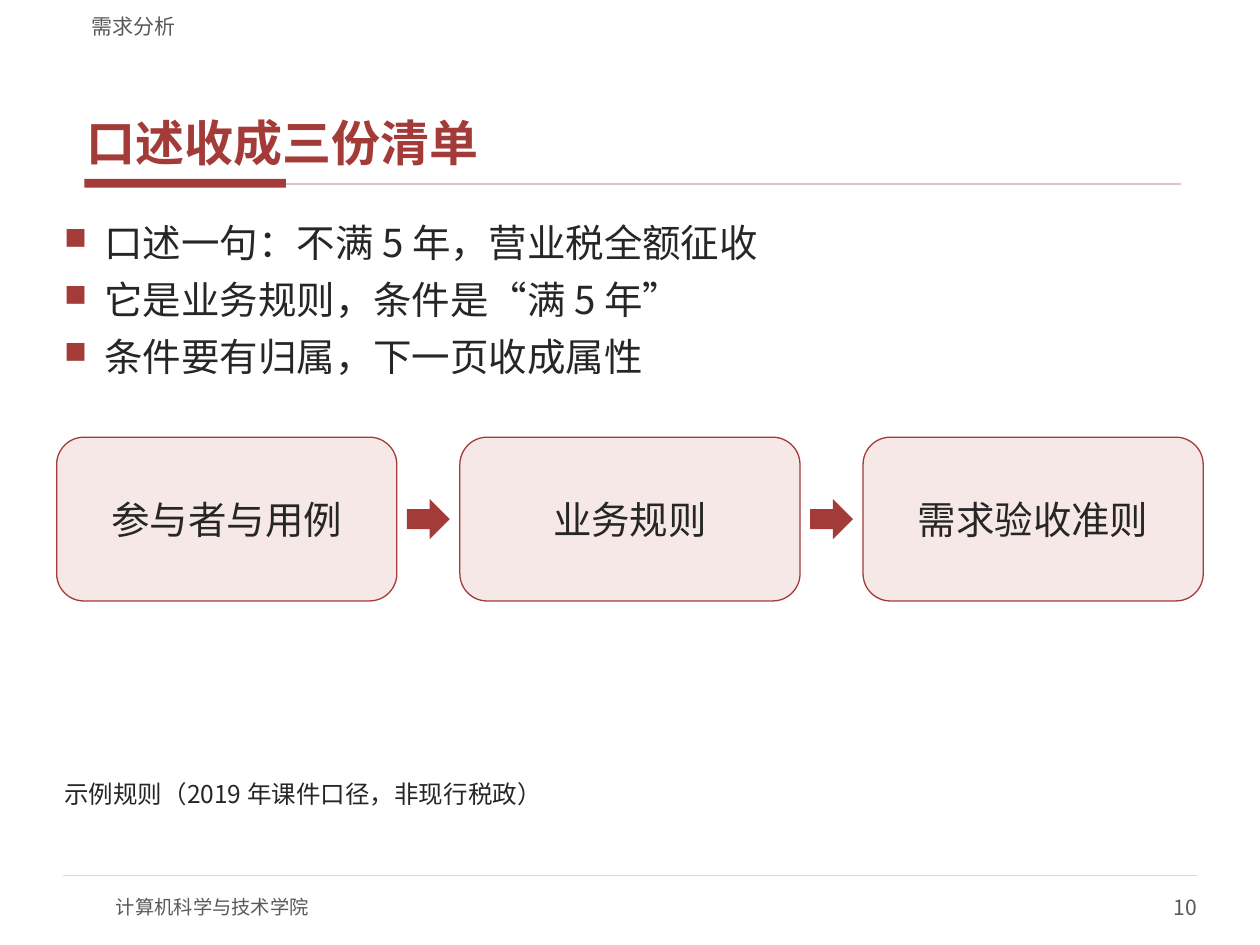
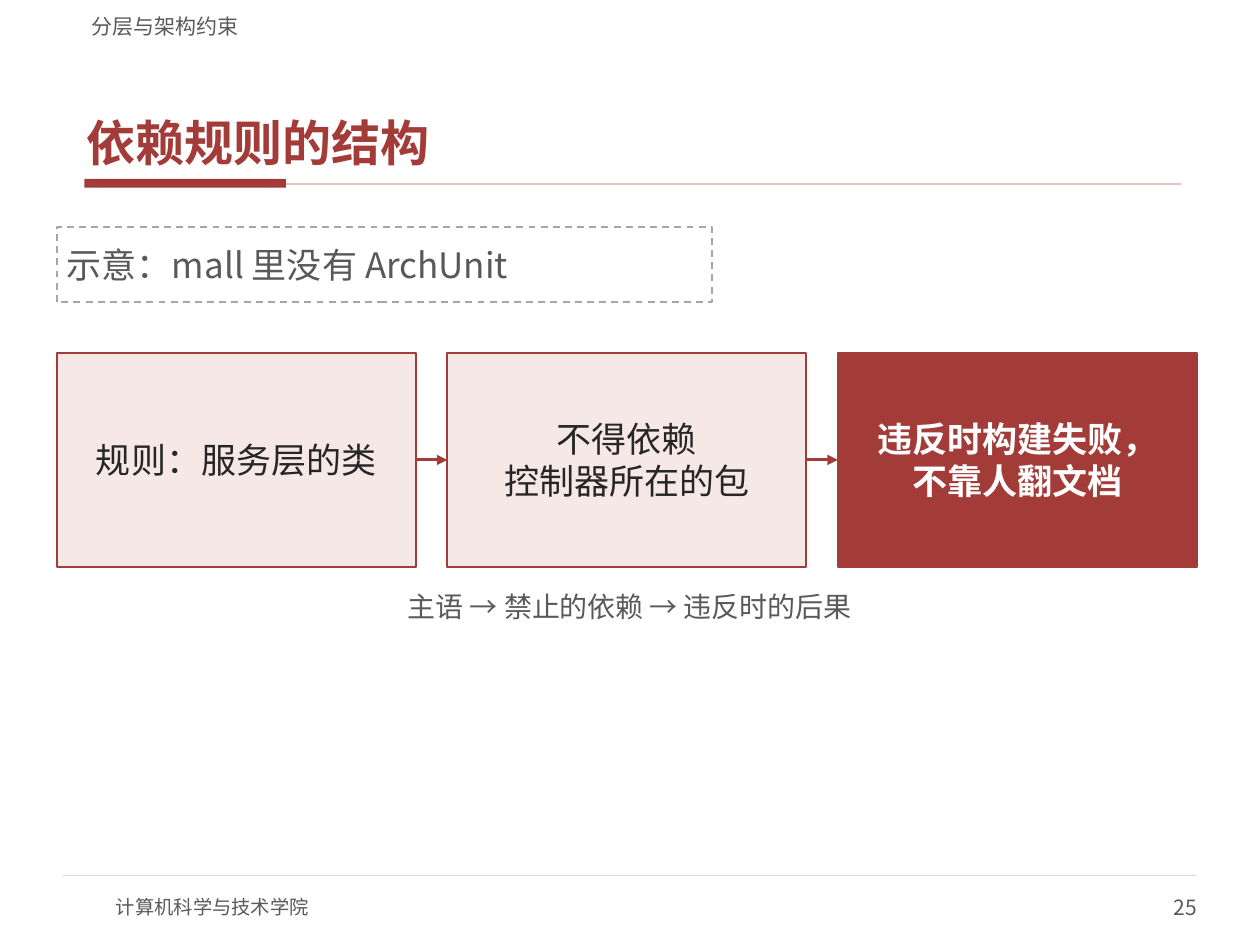
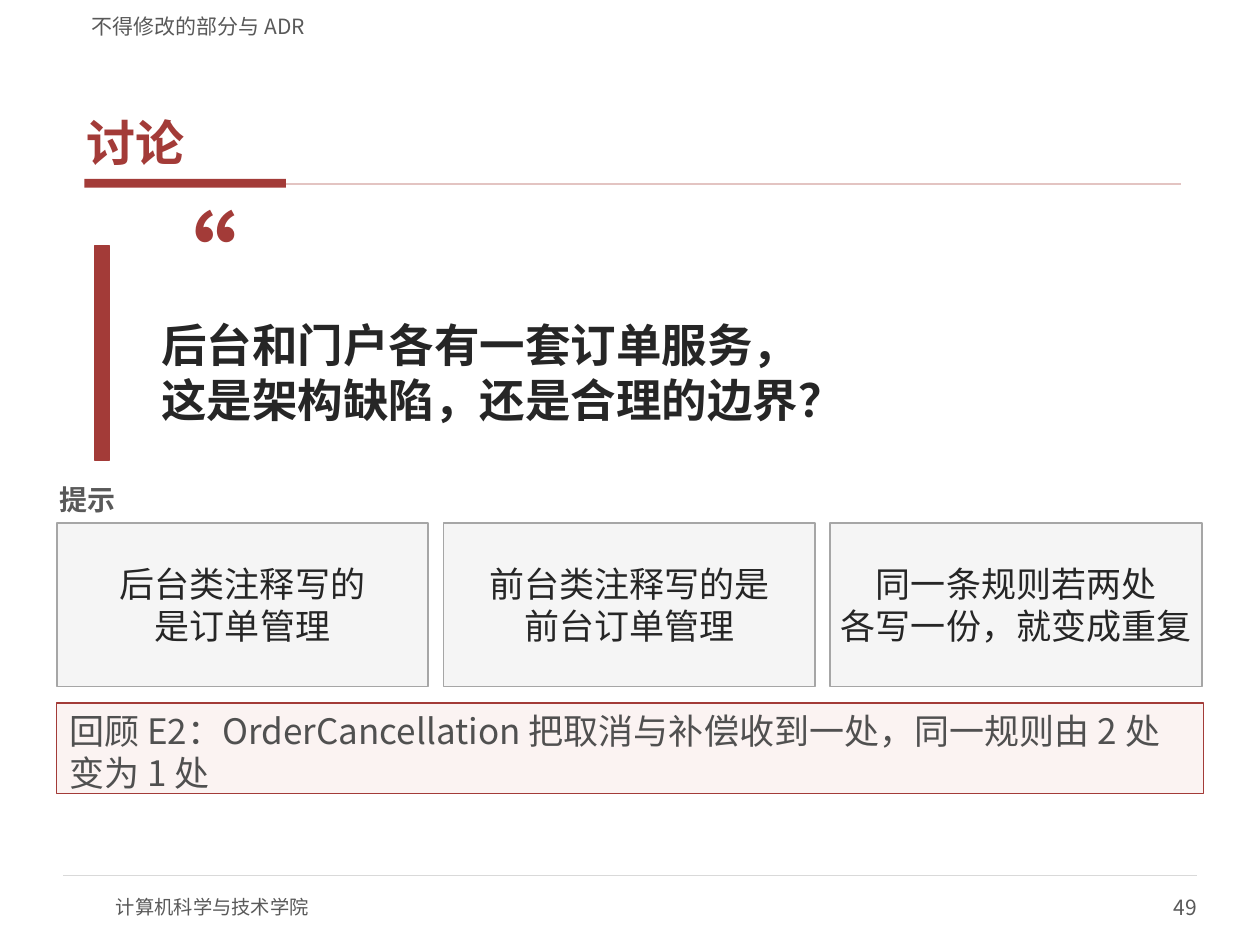
from lxml import etree
from pptx import Presentation
from pptx.dml.color import RGBColor
from pptx.enum import dml, lang, shapes, text
from pptx.oxml.ns import qn
from pptx.util import Inches, Pt

FONT = "Noto Sans CJK SC"
RED = RGBColor(0xA3, 0x3B, 0x38)
ROSE = RGBColor(0xE3, 0xC4, 0xC2)
PINK = RGBColor(0xF6, 0xE8, 0xE6)
PALE_PINK = RGBColor(0xFB, 0xF3, 0xF2)
INK = RGBColor(0x26, 0x26, 0x26)
CALLOUT_INK = RGBColor(0x50, 0x50, 0x50)
GRAY = RGBColor(0x59, 0x59, 0x59)
MID_GRAY = RGBColor(0xA6, 0xA6, 0xA6)
RULE_GRAY = RGBColor(0xD9, 0xD9, 0xD9)
PALE_GRAY = RGBColor(0xF5, 0xF5, 0xF5)
WHITE = RGBColor(0xFF, 0xFF, 0xFF)

RECT = shapes.MSO_SHAPE.RECTANGLE
ROUND = shapes.MSO_SHAPE.ROUNDED_RECTANGLE
ARROW = shapes.MSO_SHAPE.RIGHT_ARROW
TOP, MIDDLE, BOTTOM = (text.MSO_ANCHOR.TOP, text.MSO_ANCHOR.MIDDLE,
                       text.MSO_ANCHOR.BOTTOM)
CENTER, RIGHT = text.PP_ALIGN.CENTER, text.PP_ALIGN.RIGHT

# Content
SCHOOL = "计算机科学与技术学院"
LISTS = {
    "section": "需求分析", "title": "口述收成三份清单", "page": 10,
    "bullets": ["口述一句：不满 5 年，营业税全额征收",
                "它是业务规则，条件是“满 5 年”",
                "条件要有归属，下一页收成属性"],
    "steps": ["参与者与用例", "业务规则", "需求验收准则"],
    "note": "示例规则（2019 年课件口径，非现行税政）",
}
RULE = {
    "section": "分层与架构约束", "title": "依赖规则的结构", "page": 25,
    "remark": "示意：mall 里没有 ArchUnit",
    "parts": ["规则：服务层的类", "不得依赖\n控制器所在的包",
              "违反时构建失败，\n不靠人翻文档"],
    "caption": "主语 → 禁止的依赖 → 违反时的后果",
}
DISCUSSION = {
    "section": "不得修改的部分与 ADR", "title": "讨论", "page": 49,
    "question": "后台和门户各有一套订单服务，\n这是架构缺陷，还是合理的边界？",
    "label": "提示",
    "hints": ["后台类注释写的\n是订单管理", "前台类注释写的是\n前台订单管理",
              "同一条规则若两处\n各写一份，就变成重复"],
    "review": "回顾 E2：OrderCancellation 把取消与补偿收到一处，同一规则由 2 处变为 1 处",
}

# Text and paragraph formats
LEFT, WIDTH = 0.45, 9.1
BODY_INSET, BOX_INSET, TIGHT = (0.06, 0.02), (0.08, 0.04), (0.02, 0.01)
STEP = dict(size=22, color=INK, align=CENTER, inset=BODY_INSET, after=2)
CARD = dict(size=20, color=INK, align=CENTER, inset=BOX_INSET)
CAPTION = dict(size=16, color=GRAY, inset=TIGHT)


def add_bullet(p):
    pPr = p._p.get_or_add_pPr()
    for key, value in {"marL": Inches(0.32), "indent": -Inches(0.32)}.items():
        pPr.set(key, str(value))
    color = etree.SubElement(pPr, qn("a:buClr"))
    etree.SubElement(color, qn("a:srgbClr")).set("val", str(RED))
    etree.SubElement(pPr, qn("a:buSzPct")).set("val", "80000")
    etree.SubElement(pPr, qn("a:buChar")).set("char", "■")


def write(sp, lines, size, color, bold=False, align=None, anchor=MIDDLE,
          inset=(0, 0), before=0, after=0, bullet=False):
    tf = sp.text_frame
    x, y = map(Inches, inset)
    frame = dict(word_wrap=True, vertical_anchor=anchor, margin_left=x,
                 margin_right=x, margin_top=y, margin_bottom=y)
    for key, value in frame.items():
        setattr(tf, key, value)
    for i, line in enumerate([lines] if isinstance(lines, str) else lines):
        p = tf.add_paragraph() if i else tf.paragraphs[0]
        p.text = line
        p.alignment = align or text.PP_ALIGN.LEFT
        p.space_before, p.space_after = Pt(before if i else 0), Pt(after)
        if bullet:
            add_bullet(p)
        look = dict(name=FONT, size=Pt(size), bold=bold,
                    language_id=lang.MSO_LANGUAGE_ID.SIMPLIFIED_CHINESE)
        for r in p.runs:
            for key, value in look.items():
                setattr(r.font, key, value)
            r.font.color.rgb = color
            latin = r._r.rPr.find(qn("a:latin"))
            ea = etree.Element(qn("a:ea"), typeface=FONT)
            latin.addnext(ea)


def add_text(s, at, lines, **fmt):
    sp = s.shapes.add_textbox(*map(Inches, at))
    write(sp, lines, **fmt)
    return sp


def add_box(s, kind, at, fill, line=None, width=1.0):
    sp = s.shapes.add_shape(kind, *map(Inches, at))
    sp.shadow.inherit = False
    sp.fill.solid()
    sp.fill.fore_color.rgb = fill
    if line is None:
        sp.line.fill.background()
    else:
        sp.line.color.rgb, sp.line.width = line, Pt(width)
    return sp


def add_line(s, start, end, color, width):
    cx = s.shapes.add_connector(shapes.MSO_CONNECTOR.STRAIGHT,
                                *map(Inches, start + end))
    cx.line.color.rgb, cx.line.width = color, Pt(width)
    etree.SubElement(cx._element.spPr, qn("a:effectLst"))
    return cx


def add_arrow(s, a, b, y):
    cx = add_line(s, (0, y), (1, y), RED, 1.75)
    cx.begin_connect(a, 3)
    cx.end_connect(b, 1)
    etree.SubElement(cx.line._get_or_add_ln(), qn("a:tailEnd")).set("type", "triangle")


def add_row(s, kind, labels, top, size, pitch, fill, line, width, fmt):
    boxes = []
    for i, label in enumerate(labels):
        sp = add_box(s, kind, (LEFT + i * pitch, top) + size, fill, line, width)
        write(sp, label, **fmt)
        boxes.append(sp)
    return boxes


def new_slide(prs, content):
    s = prs.slides.add_slide(prs.slide_layouts[6])
    # Title rule and footer
    add_box(s, RECT, (0.67, 1.42, 1.6, 0.07), RED)
    add_line(s, (2.27, 1.46), (9.37, 1.46), ROSE, 1)
    add_line(s, (0.5, 6.95), (9.5, 6.95), RULE_GRAY, 0.75)
    add_text(s, (0.92, 7, 4, 0.4), SCHOOL, size=11, color=GRAY)
    add_text(s, (7.5, 7, 2, 0.4), str(content["page"]), size=12, color=GRAY,
             align=RIGHT)
    # Section name and title
    add_text(s, (0.63, 0.04, 8.75, 0.27), content["section"], size=12,
             color=GRAY, anchor=BOTTOM, inset=(0.1, 0))
    add_text(s, (0.63, 0.33, 8.75, 1.05), content["title"], size=28, color=RED,
             bold=True, anchor=BOTTOM, inset=BODY_INSET, after=2)
    return s


def lists_slide(prs):
    s = new_slide(prs, LISTS)
    add_text(s, (LEFT, 1.72, WIDTH, 1.5), LISTS["bullets"], size=22, color=INK,
             anchor=TOP, inset=BODY_INSET, before=4, after=2, bullet=True)
    # Steps with a block arrow centred in each gap
    top, (w, h), pitch = 3.47, (2.7, 1.3), 3.2
    arrow_w, arrow_h = 0.34, 0.32
    add_row(s, ROUND, LISTS["steps"], top, (w, h), pitch, PINK, RED, 0.75, STEP)
    for i in range(len(LISTS["steps"]) - 1):
        x = LEFT + i * pitch + (w + pitch - arrow_w) / 2
        add_box(s, ARROW, (x, top + (h - arrow_h) / 2, arrow_w, arrow_h), RED)
    add_text(s, (LEFT, 6.16, WIDTH, 0.3), LISTS["note"], size=14, color=INK,
             anchor=TOP, inset=BODY_INSET, after=2)


def rule_slide(prs):
    s = new_slide(prs, RULE)
    remark = add_box(s, RECT, (LEFT, 1.8, 5.2, 0.6), WHITE, MID_GRAY)
    remark.line.dash_style = dml.MSO_LINE.DASH
    write(remark, RULE["remark"], size=20, color=GRAY, inset=BOX_INSET)
    # Rule parts, the consequence in solid red
    top, size, pitch = 2.8, (2.85, 1.7), 3.1
    *parts, consequence = RULE["parts"]
    boxes = add_row(s, RECT, parts, top, size, pitch, PINK, RED, 1, CARD)
    last = add_box(s, RECT, (LEFT + len(parts) * pitch, top) + size, RED, RED)
    write(last, consequence, **{**CARD, "color": WHITE, "bold": True})
    boxes.append(last)
    for a, b in zip(boxes, boxes[1:]):
        add_arrow(s, a, b, top + size[1] / 2)
    add_text(s, (LEFT, 4.65, WIDTH, 0.32), RULE["caption"], align=CENTER, **CAPTION)


def discussion_slide(prs):
    s = new_slide(prs, DISCUSSION)
    # Review callout
    review = add_box(s, RECT, (LEFT, 5.58, WIDTH, 0.72), PALE_PINK, RED, 0.75)
    write(review, DISCUSSION["review"], size=20, color=CALLOUT_INK, anchor=TOP,
          inset=(0.1, 0.05))
    review.text_frame.auto_size = text.MSO_AUTO_SIZE.SHAPE_TO_FIT_TEXT
    # Question with side bar and quote mark
    add_box(s, RECT, (0.75, 1.95, 0.12, 1.7), RED, RED)
    add_text(s, (1.05, 1.55, 1, 1), "“", size=60, color=RED, bold=True, anchor=TOP)
    add_text(s, (1.2, 2.2, 8.35, 1.5), DISCUSSION["question"], size=26,
             color=INK, bold=True, inset=BOX_INSET)
    # Hints
    add_text(s, (LEFT, 3.8, 3, 0.32), DISCUSSION["label"], bold=True, **CAPTION)
    add_row(s, RECT, DISCUSSION["hints"], 4.15, (2.95, 1.3), 3.07, PALE_GRAY,
            MID_GRAY, 1, CARD)


def main():
    prs = Presentation()
    prs.slide_width, prs.slide_height = Inches(10), Inches(7.5)
    for build in (lists_slide, rule_slide, discussion_slide):
        build(prs)
    prs.save("out.pptx")


if __name__ == "__main__":
    main()
